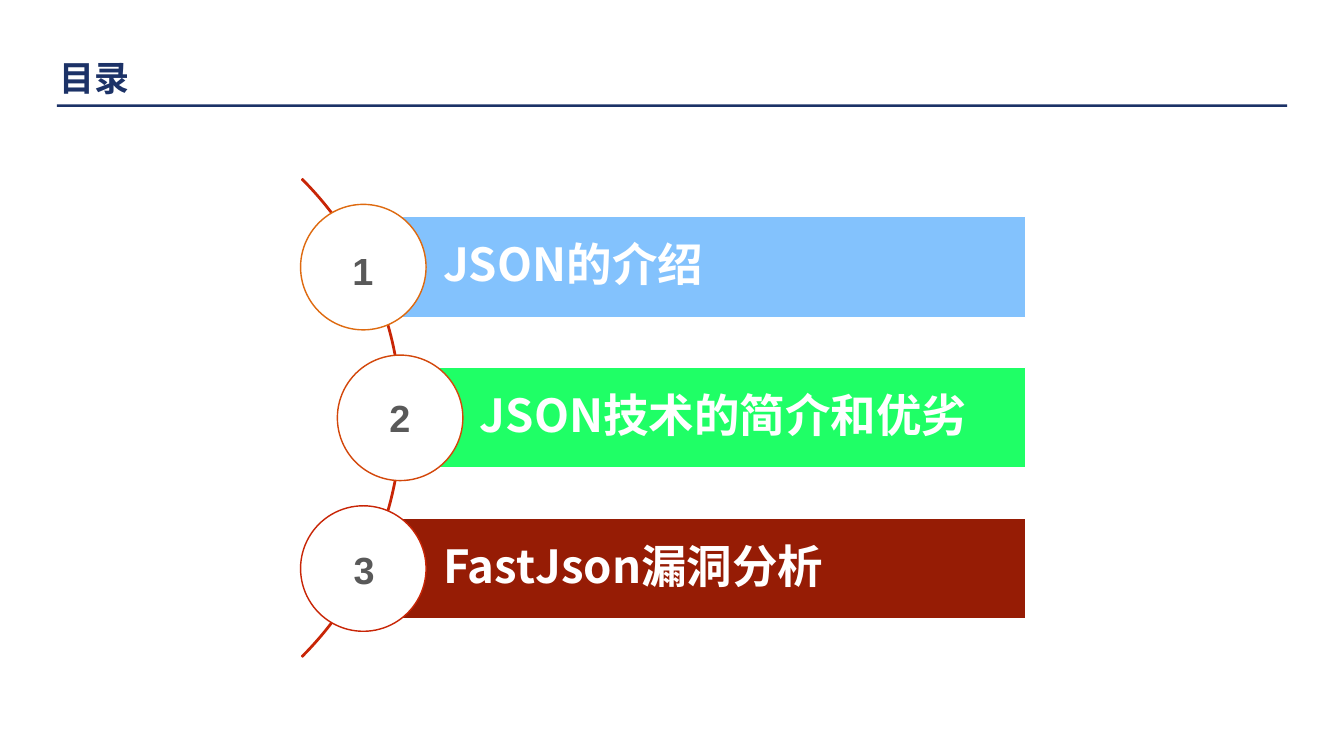
from dataclasses import dataclass

from lxml.etree import SubElement
from pptx import Presentation
from pptx.dml.color import RGBColor
from pptx.enum.shapes import MSO_SHAPE
from pptx.enum.text import MSO_ANCHOR, MSO_AUTO_SIZE, PP_ALIGN
from pptx.oxml.ns import qn
from pptx.util import Pt


@dataclass(frozen=True)
class Theme:
    navy: str = "1C3267"
    white: str = "FFFFFF"
    gray: str = "595959"
    red: str = "C82506"
    heading_font: str = "Noto Sans CJK SC"
    number_font: str = "Arial"
    title_size: int = 50
    item_size: int = 65
    number_size: int = 54
    line_width: int = 2


THEME = Theme()

# Text, bar left edge, bar colour, ring colour, number offset from the circle centre
ITEMS = [
    ("JSON的介绍", 519, "83C2FD", "DE6A10", (-2, 4.5)),
    ("JSON技术的简介和优劣", 571.6, "1FFF66", "D3470B", (-1.5, -1)),
    ("FastJson漏洞分析", 519, "961C05", THEME.red, (0, 0.5)),
]
FIRST_CENTER, PITCH = 381.6, 215.3
BAR_RIGHT, BAR_HEIGHT = 1465.2, 144
CIRCLE = 179.3
ARC_LEFT, ARC_SIZE = -392.4, 966.2
NUMBER_WIDTH, NUMBER_HEIGHT = 36, 74


def add_preset(slide, kind, left, top, width, height, fill=None, line=None):
    shape = slide.shapes.add_shape(kind, Pt(left), Pt(top), Pt(width), Pt(height))
    shape.shadow.inherit = False
    if fill:
        shape.fill.solid()
        shape.fill.fore_color.rgb = RGBColor.from_string(fill)
    else:
        shape.fill.background()
    if line:
        shape.line.color.rgb = RGBColor.from_string(line)
        shape.line.width = Pt(THEME.line_width)
    else:
        shape.line.fill.background()
    return shape


def write_text(shape, text, font_name, size, color, margins,
               align=PP_ALIGN.LEFT, spacing=1.0, wrap=True):
    frame = shape.text_frame
    frame.word_wrap = wrap
    frame.vertical_anchor = MSO_ANCHOR.MIDDLE
    (frame.margin_left, frame.margin_top,
     frame.margin_right, frame.margin_bottom) = [Pt(margin) for margin in margins]
    paragraph = frame.paragraphs[0]
    paragraph.text = text
    paragraph.alignment = align
    paragraph.line_spacing = spacing
    font = paragraph.font
    font.name, font.size, font.bold = font_name, Pt(size), True
    font.color.rgb = RGBColor.from_string(color)
    # Chinese characters take their typeface from a:ea
    properties = paragraph.runs[0].font
    properties.name = font_name
    latin = properties._element.find(qn("a:latin"))
    SubElement(latin.getparent(), qn("a:ea"), typeface=font_name)


def add_label(slide, left, top, width, height, *text_settings, **options):
    box = slide.shapes.add_textbox(Pt(left), Pt(top), Pt(width), Pt(height))
    write_text(box, *text_settings, **options)
    box.text_frame.auto_size = MSO_AUTO_SIZE.SHAPE_TO_FIT_TEXT


def add_title(slide, text):
    add_preset(slide, MSO_SHAPE.RECTANGLE, 81.4, 149, 1757.5, 3.6, THEME.navy)
    add_label(slide, 81.4, 46.8, 540.7, 98.6, text, THEME.heading_font,
              THEME.title_size, THEME.navy, [3.6] * 4, spacing=1.5)


def add_arc(slide):
    center = FIRST_CENTER + PITCH
    arc = add_preset(slide, MSO_SHAPE.BLOCK_ARC, ARC_LEFT, center - ARC_SIZE / 2,
                     ARC_SIZE, ARC_SIZE, line=THEME.red)
    for index, value in enumerate((189, 27, 0.002)):
        arc.adjustments[index] = value


def add_item(slide, center, text, left, fill, ring):
    bar = add_preset(slide, MSO_SHAPE.RECTANGLE, left, center - BAR_HEIGHT / 2,
                     BAR_RIGHT - left, BAR_HEIGHT, fill, THEME.white)
    write_text(bar, text, THEME.heading_font, THEME.item_size, THEME.white,
               (114, 13, 13, 13), spacing=0.9)
    add_preset(slide, MSO_SHAPE.OVAL, left - CIRCLE / 2, center - CIRCLE / 2,
               CIRCLE, CIRCLE, THEME.white, ring)


def add_number(slide, number, center_x, center_y):
    add_label(slide, center_x - NUMBER_WIDTH / 2, center_y - NUMBER_HEIGHT / 2,
              NUMBER_WIDTH, NUMBER_HEIGHT, str(number), THEME.number_font,
              THEME.number_size, THEME.gray, [4.3] * 4,
              align=PP_ALIGN.CENTER, wrap=False)


def main():
    presentation = Presentation()
    presentation.slide_width, presentation.slide_height = Pt(1920), Pt(1080)
    slide = presentation.slides.add_slide(presentation.slide_layouts[6])

    # Heading and rule
    add_title(slide, "目录")

    # Numbered contents along the arc
    add_arc(slide)
    for index, (text, left, fill, ring, (shift_x, shift_y)) in enumerate(ITEMS):
        center = FIRST_CENTER + index * PITCH
        add_item(slide, center, text, left, fill, ring)
        add_number(slide, index + 1, left + shift_x, center + shift_y)

    presentation.save("out.pptx")


if __name__ == "__main__":
    main()
